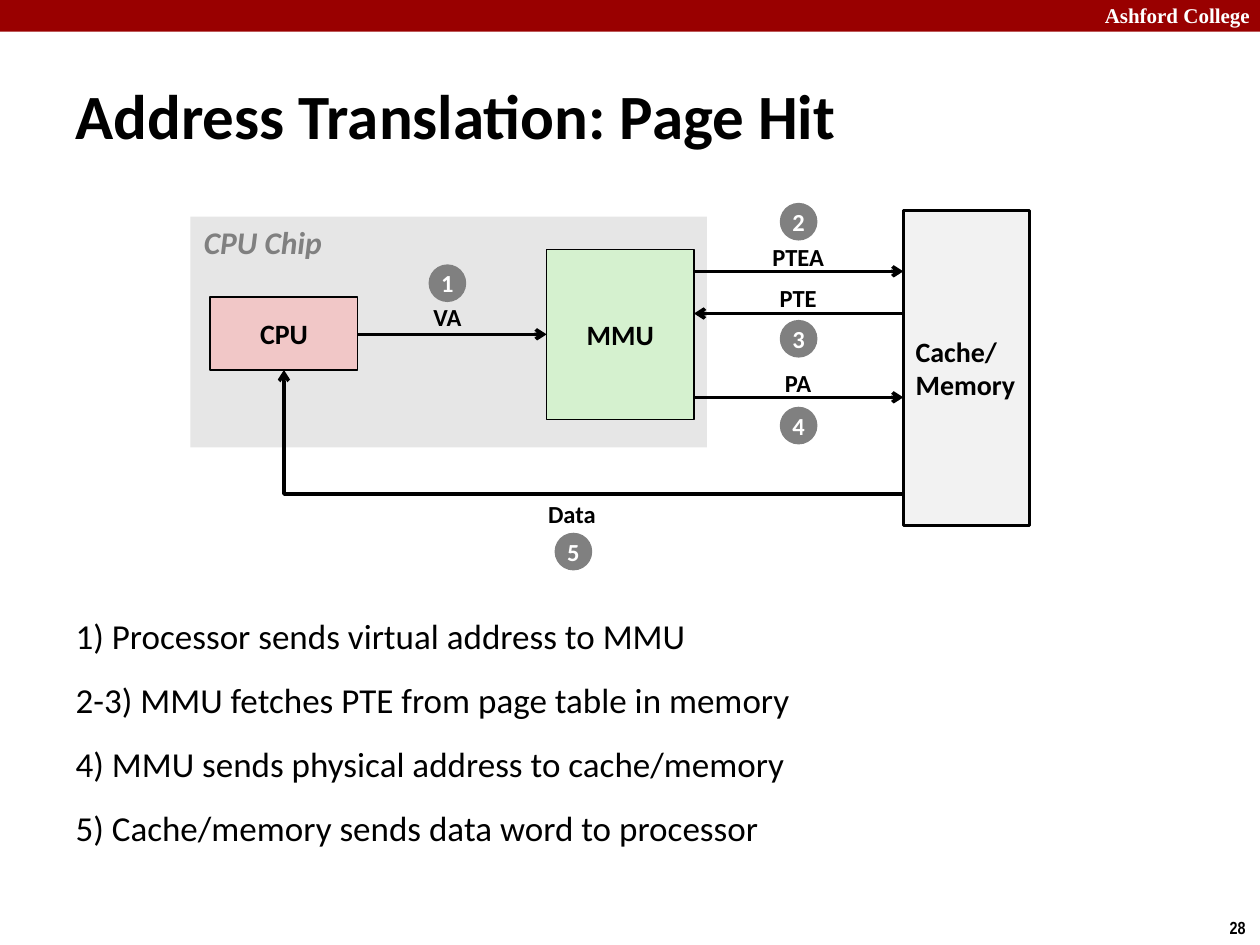
from lxml import etree
from pptx import Presentation
from pptx import util as u
from pptx.dml.color import RGBColor
from pptx.enum import shapes, text
from pptx.oxml.ns import qn

COLORS = {
    "black": "000000", "white": "FFFFFF", "banner": "990000", "chip": "E6E6E6",
    "mmu": "D5F1CF", "memory": "F2F2F2", "cpu": "F1C7C7", "gray": "808080",
}
LEFT, CENTER, RIGHT = text.PP_ALIGN.LEFT, text.PP_ALIGN.CENTER, text.PP_ALIGN.RIGHT
MIDDLE = text.MSO_ANCHOR.MIDDLE
RECTANGLE, OVAL = shapes.MSO_SHAPE.RECTANGLE, shapes.MSO_SHAPE.OVAL

presentation = Presentation()
presentation.slide_width = u.Cm(25.4)
presentation.slide_height = u.Cm(19.05)
slide = presentation.slides.add_slide(presentation.slide_layouts[1])


def write(shape, lines, size, color="black", align=LEFT, bold=True, font="Calibri", wrap=False):
    frame = shape.text_frame
    frame.text = "\n".join(lines)
    frame.word_wrap = wrap
    frame.auto_size = text.MSO_AUTO_SIZE.NONE
    for paragraph in frame.paragraphs:
        paragraph.alignment = align
        paragraph.font.size = u.Pt(size)
        paragraph.font.bold = bold
        paragraph.font.name = font
        paragraph.font.color.rgb = RGBColor.from_string(COLORS[color])
    return frame


def add_filled(kind, box, color, line_width=0):
    shape = slide.shapes.add_shape(kind, *map(u.Cm, box))
    shape.shadow.inherit = False
    shape.fill.solid()
    shape.fill.fore_color.rgb = RGBColor.from_string(COLORS[color])
    if line_width:
        shape.line.color.rgb = RGBColor.from_string(COLORS["black"])
        shape.line.width = u.Pt(line_width)
    else:
        shape.line.fill.background()
    return shape


add_filled(RECTANGLE, (0, 0, 25.4, 0.64), "banner")
add_filled(RECTANGLE, (3.84, 4.37, 10.41, 4.65), "chip")

title, body = slide.shapes.title, slide.placeholders[1]
for placeholder, box in ((title, (1.27, 1.22, 24.13, 2.18)), (body, (1.27, 12.27, 18.85, 5.72))):
    placeholder.left, placeholder.top, placeholder.width, placeholder.height = map(u.Cm, box)

write(title, ["Address Translation: Page Hit"], 36, wrap=True).vertical_anchor = MIDDLE
steps = [
    "1) Processor sends virtual address to MMU",
    "2-3) MMU fetches PTE from page table in memory",
    "4) MMU sends physical address to cache/memory",
    "5) Cache/memory sends data word to processor",
]
for paragraph in write(body, steps, 20, bold=False, wrap=True).paragraphs:
    paragraph.space_before = u.Pt(12.5)
    properties = paragraph._p.get_or_add_pPr()
    properties.set("marL", str(u.Cm(0.95)))
    properties.set("indent", str(-u.Cm(0.95)))
    etree.SubElement(properties, qn("a:buNone"))

units = {}
for name, lines, box, line_width, align in (
    ("mmu", ["MMU"], (11.02, 5.03, 2.97, 3.43), 1, CENTER),
    ("memory", ["Cache/", "Memory"], (18.21, 4.24, 2.54, 6.35), 1.5, LEFT),
    ("cpu", ["CPU"], (4.24, 5.99, 2.97, 1.47), 1, CENTER),
):
    units[name] = add_filled(RECTANGLE, box, name, line_width)
    write(units[name], lines, 16, align=align).vertical_anchor = MIDDLE

STRAIGHT, ELBOW = shapes.MSO_CONNECTOR.STRAIGHT, shapes.MSO_CONNECTOR.ELBOW
for kind, ends in (
    (STRAIGHT, (7.21, 6.74, 11.02, 6.74)),
    (STRAIGHT, (13.99, 5.47, 18.21, 5.47)),
    (STRAIGHT, (18.21, 6.32, 13.99, 6.32)),
    (STRAIGHT, (13.99, 8.01, 18.21, 8.01)),
    (ELBOW, (18.21, 9.96, 5.72, 7.46)),
):
    arrow = slide.shapes.add_connector(kind, *map(u.Cm, ends))
    arrow.line.color.rgb = RGBColor.from_string(COLORS["black"])
    arrow.line.width = u.Pt(2)
    etree.SubElement(arrow.line._get_or_add_ln(), qn("a:tailEnd"), type="arrow")
    etree.SubElement(arrow._element.spPr, qn("a:effectLst"))
    if kind == ELBOW:
        arrow._element.spPr.find(qn("a:prstGeom")).set("prst", "bentConnector2")
        arrow.end_connect(units["cpu"], 2)

for label, center, top, width in (
    ("VA", 9.02, 5.99, 1.07),
    ("PTEA", 16.09, 4.78, 1.55),
    ("PTE", 16.09, 5.61, 1.27),
    ("PA", 16.09, 7.32, 1.04),
    ("Data", 11.53, 9.96, 1.47),
):
    box = slide.shapes.add_textbox(u.Cm(center - width / 2), u.Cm(top), u.Cm(width), u.Cm(0.84))
    frame = write(box, [label], 14, align=CENTER)
    frame.vertical_anchor = MIDDLE
    frame.paragraphs[0].line_spacing = 0.98

badges = ((8.64, 5.33), (15.72, 4.09), (15.72, 6.45), (15.72, 8.2), (11.18, 10.74))
for number, (left, top) in enumerate(badges, 1):
    badge = add_filled(OVAL, (left, top, 0.76, 0.76), "gray")
    write(badge, [str(number)], 14, "white", CENTER).vertical_anchor = MIDDLE

for caption, box, size, color, align, font in (
    ("CPU Chip", (3.86, 4.37, 2.95, 1.02), 18, "gray", LEFT, "Calibri"),
    ("Ashford College", (21.95, -0.08, 3.5, 0.76), 12, "white", RIGHT, "Times New Roman"),
    ("28", (24.54, 18.36, 0.86, 0.69), 10, "black", LEFT, "Arial Narrow"),
):
    caption_box = slide.shapes.add_textbox(*map(u.Cm, box))
    frame = write(caption_box, [caption], size, color, align, font=font)
    frame.paragraphs[0].font.italic = True if caption == "CPU Chip" else None

presentation.save("out.pptx")
